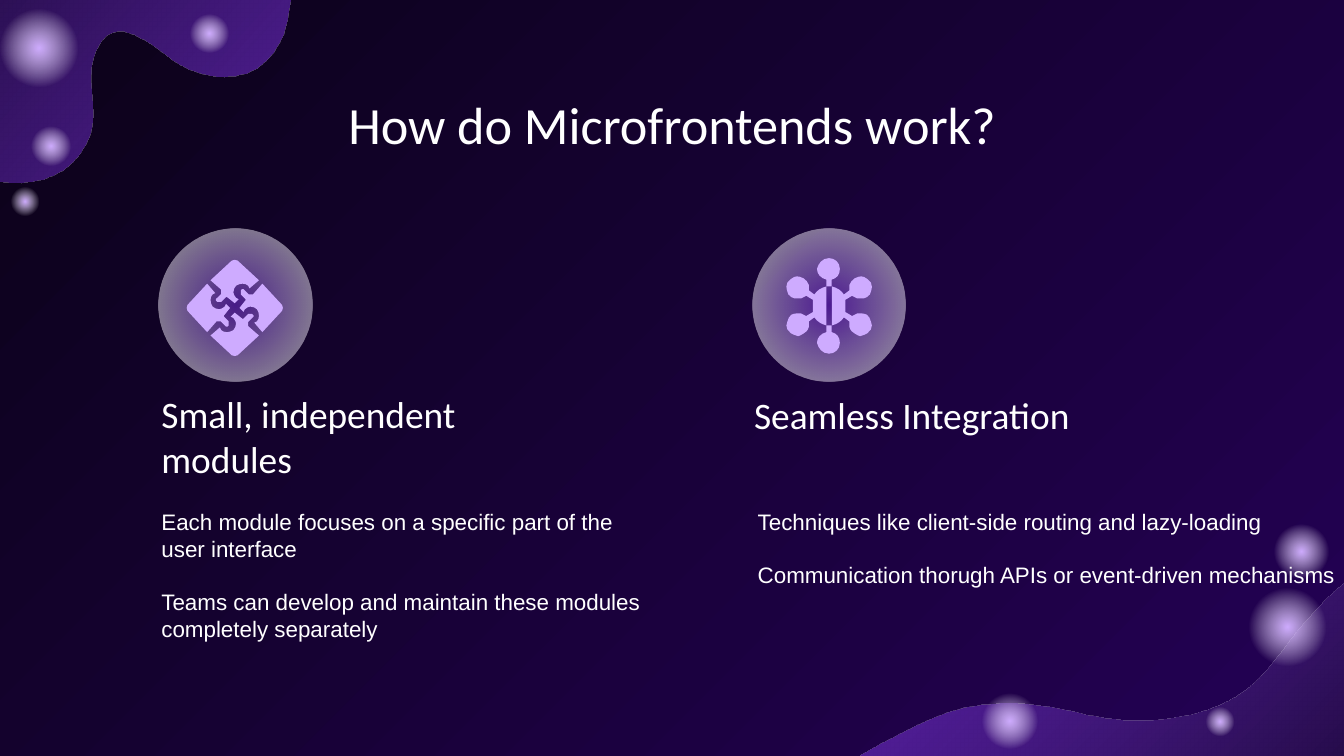
from dataclasses import dataclass

from lxml import etree
from pptx import Presentation
from pptx import util as u
from pptx.dml import color
from pptx.enum import shapes, text
from pptx.oxml import ns


@dataclass(frozen=True)
class Theme:
    """Colours, fonts and type sizes."""
    dark: str = "0B0218"
    deep: str = "240155"
    violet: str = "8134EC"
    lilac: str = "CEABFF"
    white: str = "FFFFFF"
    head: str = "Calibri"
    body: str = "Arial"
    big: int = 28
    mid: int = 20
    small: int = 12


T = Theme()
WIDE, HIGH = 25.4, 14.29

LOW = [(1032, 413), (1002, 428, 985, 446, 965, 469), (949, 489, 936, 511, 910, 523),
       (883, 536, 841, 539, 810, 532), (777, 523, 737, 518, 704, 530),
       (670, 543, 639, 562, 609, 579), (589, 591, 570, 603, 553, 617),
       (1139, 617), (1140, 393), (1133, 391, 1126, 390, 1118, 390),
       (1088, 390, 1055, 402, 1032, 413)]
TOP = [(-75, 145), (-68, 140, -59, 134, -51, 132), (-38, 129, -25, 131, -12, 133),
       (-2, 135, 7, 136, 16, 136), (39, 135, 58, 123, 66, 102),
       (75, 80, 60, 56, 73, 34), (87, 10, 112, 33, 127, 44),
       (144, 56, 172, 63, 191, 51), (200, 45, 207, 35, 211, 25),
       (215, 13, 215, 1, 218, -10), (221, -20, 228, -33, 238, -38),
       (249, -43, 261, -44, 273, -46), (320, -56, 364, -87, 381, -133),
       (383, -139, 385, -148, 384, -154), (-121, -131), (-100, 177),
       (-97, 166, -83, 152, -75, 145)]
DOTS = [(20, 91, 36), (6, 137, 26), (138, 7, 36), (-7, 0, 72),
        (922, 431, 72), (943, 385, 51), (726, 511, 51), (895, 524, 26)]

PIECE = [(-20.5, -18), (-33.5, -4), (-36.5, -2, -36.5, 2, -33.5, 4), (-20.5, 18),
         (-13.5, 10), (-10.5, 10), (-7.5, 13), (-6.5, 14), (-5.5, 14),
         (-4.5, 13), (-4.5, 10), (-7.5, 7), (-8.5, 7, -8.5, 5, -7.5, 5),
         (-3.5, 0), (-6.5, -3), (-7.5, -1), (-8.5, 0, -10.5, 1, -11.5, 1),
         (-13.5, 1, -15.5, 0, -16.5, -1), (-18.5, -4, -18.5, -8, -16.5, -10),
         (-14.5, -11)]
HALF = [(28, 6.5), (26, 5.5, 23, 5.5, 21, 5.5), (17, 7.5), (12, 4.5), (12, -4.5),
        (17, -7.5), (21, -5.5), (23, -5.5), (25, -5.5, 27, -5.5, 28, -6.5),
        (30, -7.5, 31, -9.5, 31, -10.5), (32, -13.5, 32, -15.5, 31, -17.5),
        (29, -19.5, 28, -20.5, 26, -21.5), (23, -22.5, 21, -21.5, 19, -20.5),
        (17, -19.5, 16, -17.5, 15, -15.5), (15, -11.5), (11, -8.5),
        (9, -11.5, 6, -13.5, 2, -14.5), (2, 14.5), (6, 13.5, 9, 11.5, 11, 8.5),
        (15, 11.5), (15, 15.5), (16, 18.5, 17, 19.5, 19, 20.5),
        (21, 21.5, 22, 22.5, 23, 22.5), (24, 22.5, 25, 22.5, 26, 21.5),
        (28, 21.5, 29, 19.5, 31, 17.5), (32, 15.5, 32, 13.5, 31, 11.5),
        (31, 9.5, 29, 7.5, 28, 6.5)]
PIN = [(-2, 14.5), (-2, 19.5), (-6, 20.5, -9, 23.5, -9, 27.5),
       (-8, 31.5, -5, 35.5, 0, 35.5), (4, 35.5, 8, 32.5, 8, 27.5),
       (8, 23.5, 6, 20.5, 2, 19.5), (2, 14.5)]

SAME, TURN, BACK, LEFT = (1, 0, 0, 1), (0, -1, 1, 0), (-1, 0, 0, -1), (0, 1, -1, 0)
FLIP, DROP = (-1, 0, 0, 1), (1, 0, 0, -1)
PUZZLE = [(PIECE, t) for t in (SAME, TURN, BACK, LEFT)]
HUB = [(HALF, SAME), (HALF, FLIP), (PIN, SAME), (PIN, DROP)]


def rgb(code):
    """Turn a hex code into a colour."""
    return color.RGBColor.from_string(code)


def plain(shape, code):
    """Give a shape a flat fill, no line and no shadow."""
    shape.shadow.inherit = False
    shape.fill.solid()
    shape.fill.fore_color.rgb = rgb(code)
    shape.line.fill.background()


def blend(shape, stops, angle=None):
    """Fill a shape with a linear gradient, or a round one without an angle."""
    plain(shape, T.white)
    old = shape._element.spPr.find(ns.qn("a:solidFill"))
    grad = etree.Element(ns.qn("a:gradFill"), rotWithShape="1")
    row = etree.SubElement(grad, ns.qn("a:gsLst"))
    for pos, code, alpha in stops:
        stop = etree.SubElement(row, ns.qn("a:gs"), pos=str(pos * 1000))
        tint = etree.SubElement(stop, ns.qn("a:srgbClr"), val=code)
        etree.SubElement(tint, ns.qn("a:alpha"), val=str(alpha * 1000))
    if angle is None:
        way = etree.SubElement(grad, ns.qn("a:path"), path="circle")
        sides = dict.fromkeys("ltrb", "50000")
        etree.SubElement(way, ns.qn("a:fillToRect"), **sides)
    else:
        etree.SubElement(grad, ns.qn("a:lin"), ang=str(angle * 60000), scaled="0")
    old.getparent().replace(old, grad)


def outline(slide, path, x, y, unit, turn=SAME):
    """Draw lines and cubic curves around the point x, y on a grid."""
    a, b, c, d = turn
    dots = [(u.Cm(x + unit * (a * p + b * q)), u.Cm(y + unit * (c * p + d * q)))
            for part in path for p, q in zip(part[::2], part[1::2])]
    pen = slide.shapes.build_freeform(*dots[0])
    pen.add_line_segments(dots[1:], close=True)
    shape = pen.convert_to_shape()
    lines = iter(list(shape._element.iter(ns.qn("a:lnTo"))))
    for part in path[1:]:
        group = [next(lines) for _ in part[::2]]
        if len(group) == 3:
            curve = etree.Element(ns.qn("a:cubicBezTo"))
            group[0].addprevious(curve)
            for line in group:
                curve.append(line[0])
                line.getparent().remove(line)
    return shape


def disc(slide, x, y, size, stops):
    """Draw a circle with a round gradient."""
    ring = slide.shapes.add_shape(shapes.MSO_SHAPE.OVAL, *map(u.Cm, (x, y, size, size)))
    blend(ring, stops)


def decor(slide, x, y, w):
    """Draw the backdrop, waves and glowing dots over the given width."""
    fill = slide.background.fill
    fill.gradient()
    fill.gradient_angle = 315
    for stop, code, pos in zip(fill.gradient_stops, (T.dark, T.deep), (0, 1)):
        stop.color.rgb, stop.position = rgb(code), pos
    unit = w / 1000
    for path, angle in ((LOW, 225), (TOP, 42)):
        wave = outline(slide, path, x, y, unit)
        blend(wave, [(0, T.dark, 100), (100, T.violet, 70)], angle)
    glow = [(0, T.lilac, 100), (57, T.white, 0), (100, T.white, 0)]
    for p, q, size in DOTS:
        disc(slide, x + p * unit, y + q * unit, size * unit, glow)


def write(slide, idx, box, lines, font, size, anchor="TOP", align="LEFT"):
    """Move a placeholder to the box and set its text."""
    hold = slide.placeholders[idx]
    slide.shapes._spTree.append(hold._element)
    hold.left, hold.top, hold.width, hold.height = map(u.Cm, box)
    frame = hold.text_frame
    frame.text = "\n".join(lines)
    frame.word_wrap, frame.auto_size = True, text.MSO_AUTO_SIZE.NONE
    frame.vertical_anchor = text.MSO_ANCHOR[anchor]
    for side in ("left", "top", "right", "bottom"):
        setattr(frame, "margin_" + side, u.Cm(0.25))
    for i, para in enumerate(frame.paragraphs):
        para.alignment = text.PP_ALIGN[align]
        para.space_before = u.Pt(14 if i else 0)
        props = para._p.get_or_add_pPr()
        props.set("marL", "0")
        props.set("indent", "0")
        etree.SubElement(props, ns.qn("a:buNone"))
        for run in para.runs:
            run.font.name, run.font.size, run.font.bold = font, u.Pt(size), False
            run.font.color.rgb = rgb(T.white)


def badge(slide, x, y, size, parts, dx, dy):
    """Draw an icon on a round badge."""
    disc(slide, x, y, size, [(0, T.violet, 49), (77, T.white, 49), (100, T.white, 49)])
    unit = size / 114
    for path, turn in parts:
        mid = x + size / 2 + dx * unit, y + size / 2 + dy * unit
        plain(outline(slide, path, *mid, unit, turn), T.lilac)


def column(slide, x, y, idx, head, box, lines, area, icon):
    """Place a badge, a heading and a list in one column."""
    for i, words, (dx, dy, w, h), look in (
            (idx, [head], box, (T.head, T.mid, "BOTTOM")),
            (idx + 1, lines, area, (T.body, T.small))):
        write(slide, i, (x + dx, y + dy, w, h), words, *look)
    badge(slide, x, y, 2.9, *icon)


def main():
    """Build the slide and save it."""
    deck = Presentation()
    deck.slide_width, deck.slide_height = u.Cm(WIDE), u.Cm(HIGH)
    slide = deck.slides.add_slide(deck.slide_layouts[4])
    decor(slide, 0, 0, WIDE)
    write(slide, 0, (0, 1.5, WIDE, 1.6), ["How do Microfrontends work?"],
          T.head, T.big, align="CENTER")
    column(slide, 3, 4.32, 1, "Small, independent modules", (-0.2, 2.89, 8.61, 2.13),
           ["Each module focuses on a specific part of the user interface",
            "Teams can develop and maintain these modules completely separately"],
           (-0.2, 5.03, 9.91, 3.66), (PUZZLE, -0.5, 2))
    column(slide, 14.22, 4.32, 3, "Seamless Integration", (-0.22, 2.84, 9.91, 1.35),
           ["Techniques like client-side routing and lazy-loading",
            "Communication thorugh APIs or event-driven mechanisms"],
           (-0.15, 5.03, 11.46, 3.66), (HUB, 0, 0.5))
    deck.save("out.pptx")


if __name__ == "__main__":
    main()
